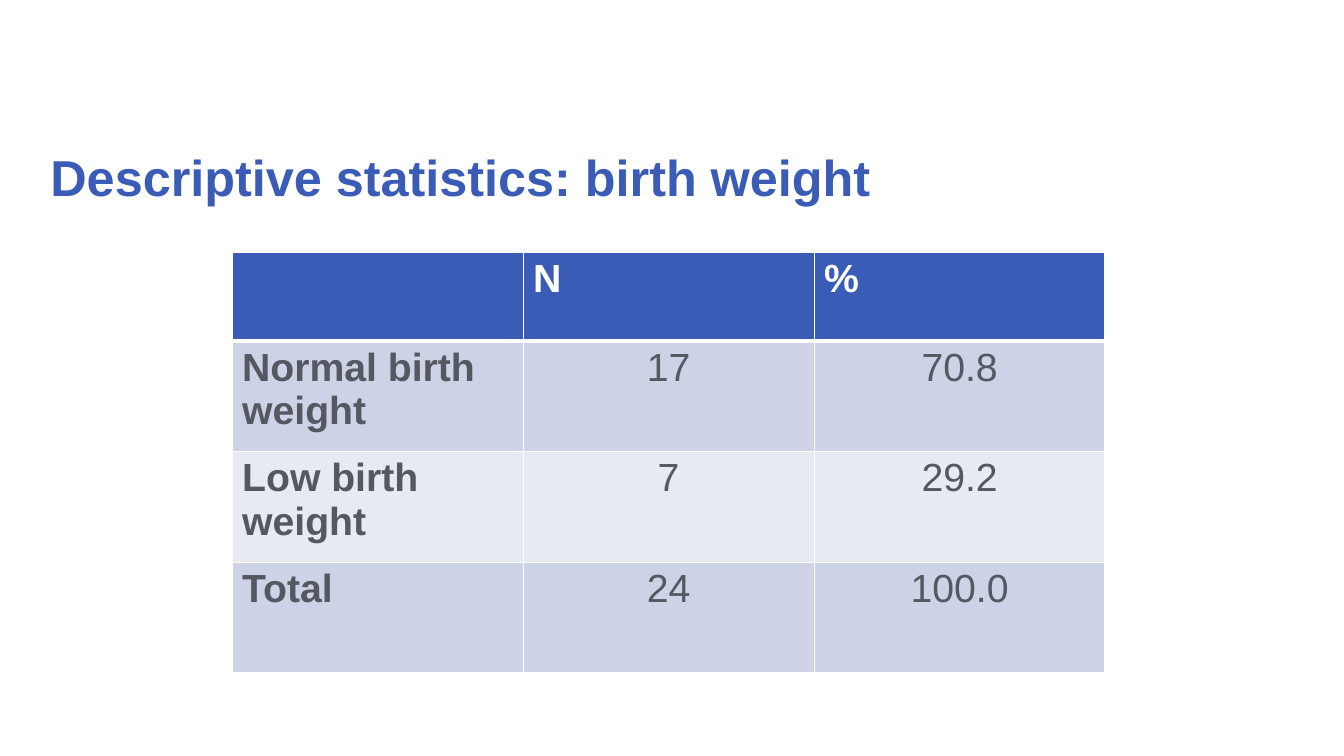
from lxml.etree import SubElement
from pptx import Presentation
from pptx.dml.color import RGBColor
from pptx.enum.text import MSO_ANCHOR, PP_ALIGN
from pptx.oxml.ns import qn
from pptx.util import Cm, Pt

COLORS = {
    "blue": "3A5CB7",
    "white": "FFFFFF",
    "grey": "545860",
    "band_dark": "CED2E6",
    "band_light": "E8EAF3",
}
BIRTH_WEIGHTS = [
    ("", "N", "%"),
    ("Normal birth weight", "17", "70.8"),
    ("Low birth weight", "7", "29.2"),
    ("Total", "24", "100.0"),
]
HEADER_SHARE = 0.21  # part of the table height taken by the header row


def write(frame, text, size=28, color="grey", bold=False,
          align=PP_ALIGN.LEFT, spacing=None):
    frame.word_wrap = True
    paragraph = frame.paragraphs[0]
    paragraph.alignment = align
    paragraph.line_spacing = spacing
    if not text:
        return
    run = paragraph.add_run()
    run.text = text
    run.font.name = "Arial"
    run.font.size = Pt(size)
    run.font.bold = bold
    run.font.color.rgb = RGBColor.from_string(COLORS[color])


def set_borders(cell, **widths):
    """Draw white edges; the schema wants them ahead of the cell's fill."""
    properties = cell._tc.get_or_add_tcPr()
    for position, side in enumerate("LRTB"):
        edge = SubElement(properties, qn(f"a:ln{side}"),
                          w=str(Pt(widths.get(side, 1))))
        fill = SubElement(edge, qn("a:solidFill"))
        SubElement(fill, qn("a:srgbClr"), val=COLORS["white"])
        properties.insert(position, edge)


def add_title(slide, left, top, width, height):
    title = slide.shapes.add_textbox(Cm(left), Cm(top), Cm(width), Cm(height))
    title.text_frame.vertical_anchor = MSO_ANCHOR.MIDDLE
    write(title.text_frame, "Descriptive statistics: birth weight",
          size=36, color="blue", bold=True, spacing=0.9)


def add_weight_table(slide, left, top, width, height):
    row_count, column_count = len(BIRTH_WEIGHTS), len(BIRTH_WEIGHTS[0])
    weights = slide.shapes.add_table(row_count, column_count, Cm(left), Cm(top),
                                     Cm(width), Cm(height)).table

    # Equal columns, a lower header and equal body rows
    for column in weights.columns:
        column.width = Cm(width / column_count)
    header_height = height * HEADER_SHARE
    body_height = (height - header_height) / (row_count - 1)
    for index, row in enumerate(weights.rows):
        row.height = Cm(body_height if index else header_height)

    # Cells
    for r, values in enumerate(BIRTH_WEIGHTS):
        is_header = r == 0
        band = "blue" if is_header else "band_dark" if r % 2 else "band_light"
        for c, value in enumerate(values):
            is_figure = not is_header and c > 0
            cell = weights.cell(r, c)
            cell.fill.solid()
            cell.fill.fore_color.rgb = RGBColor.from_string(COLORS[band])
            set_borders(cell, T=3 if r == 1 else 1, B=3 if is_header else 1)
            write(cell.text_frame, value, bold=not is_figure,
                  color="white" if is_header else "grey",
                  align=PP_ALIGN.CENTER if is_figure else PP_ALIGN.LEFT)


def main():
    presentation = Presentation()
    presentation.slide_width = Cm(33.87)
    presentation.slide_height = Cm(19.05)
    slide = presentation.slides.add_slide(presentation.slide_layouts[6])
    add_title(slide, 1.02, 2.69, 31.85, 3.68)
    add_weight_table(slide, 5.85, 6.36, 22, 10.6)
    presentation.save("out.pptx")


if __name__ == "__main__":
    main()
